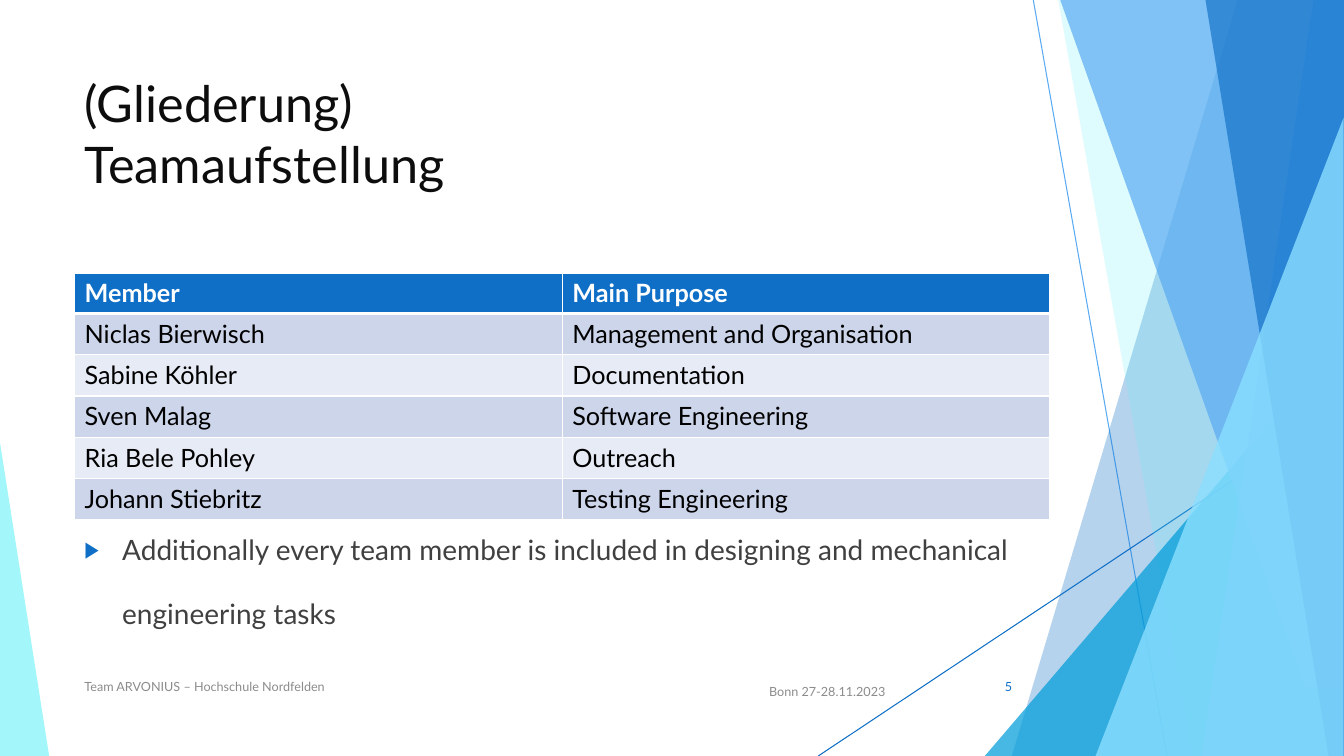
"""Builds a team overview slide with a member table on a faceted blue backdrop."""
import lxml.etree
import pptx
import pptx.dml.color
import pptx.enum.shapes
import pptx.enum.text
import pptx.oxml.ns
import pptx.util

Cm, Pt, qn = pptx.util.Cm, pptx.util.Pt, pptx.oxml.ns.qn
ANCHOR, ALIGN = pptx.enum.text.MSO_ANCHOR, pptx.enum.text.PP_ALIGN
WIDTH, HEIGHT = 33.87, 19.05
FONT, BLUE, WHITE, GREY = "Lato", "0F6FC6", "FFFFFF", "8C8C8C"

TEAM = [
    ("Member", "Main Purpose"),
    ("Niclas Bierwisch", "Management and Organisation"),
    ("Sabine Köhler", "Documentation"),
    ("Sven Malag", "Software Engineering"),
    ("Ria Bele Pohley", "Outreach"),
    ("Johann Stiebritz", "Testing Engineering"),
]
TABLE_LEFT, TABLE_TOP, COLUMN_WIDTH = 1.88, 6.88, 12.29
HEADER_HEIGHT, ROW_HEIGHT = 1.0, 1.04
BAND_FILLS = ("E7EBF5", "CCD5EA")

TITLE = "(Gliederung)\vTeamaufstellung"
REMARK = "Additionally every team member is included in designing and mechanical engineering tasks"
LABELS = [
    (TITLE, (1.88, 1.7, 23.88, 3.66), 36, "0D0D0D", ALIGN.LEFT, ANCHOR.TOP),
    ("Bonn 27-28.11.2023", (18.72, 17.04, 3.84, 0.76), 9, GREY, ALIGN.RIGHT, ANCHOR.MIDDLE),
    ("Team ARVONIUS – Hochschule Nordfelden", (1.88, 16.79, 17.5, 1.02), 9, GREY,
     ALIGN.LEFT, ANCHOR.MIDDLE),
    ("5", (23.85, 16.79, 1.91, 1.02), 9, BLUE, ALIGN.RIGHT, ANCHOR.MIDDLE),
]
REMARK_BOX = (1.88, 12.5, 25.4, 3.5)

RAYS = [((26.04, 0), (29.41, HEIGHT), "59AAF2"), ((WIDTH, 10.24), (20.62, HEIGHT), BLUE)]
BACK_FACETS = [
    (31.19, 25.5, HEIGHT, BLUE, 30),
    (26.67, 30.05, HEIGHT, "5EF0F7", 20),
]
FRONT_FACETS = [
    (26.72, 32.89, 17.3, "59AAF2", 70),
    (33.1, 30.28, HEIGHT, "59AAF2", 70),
    (30.38, 33.48, HEIGHT, BLUE, 65),
]
BACK_WEDGES = [(24.82, 8.46, 9.05, 1, "009DD9", 72)]
FRONT_WEDGES = [(0, 11.15, 1.24, 0, "94F5FA", 85), (27.61, 2.97, 6.25, 1, "8ADFFF", 80)]


def rgb(value):
    return pptx.dml.color.RGBColor.from_string(value)


def add_xml(parent, tag, **attributes):
    return lxml.etree.SubElement(parent, qn(tag), attributes)


def paint(shape, color, opacity):
    shape.shadow.inherit = False
    shape.line.fill.background()
    shape.fill.solid()
    shape.fill.fore_color.rgb = rgb(color)
    tint = shape.fill._xPr.find(qn("a:solidFill"))[0]
    add_xml(tint, "a:alpha", val=str(opacity * 1000))


def add_facet(slide, top_x, bottom_x, bottom, color, opacity):
    corners = [(WIDTH, 0), (WIDTH, bottom), (bottom_x, bottom)]
    outline = slide.shapes.build_freeform(Cm(top_x), 0)
    outline.add_line_segments([(Cm(x), Cm(y)) for x, y in corners], close=True)
    paint(outline.convert_to_shape(), color, opacity)


def add_wedge(slide, left, top, width, apex, color, opacity):
    wedge = slide.shapes.add_shape(
        pptx.enum.shapes.MSO_SHAPE.ISOSCELES_TRIANGLE,
        Cm(left), Cm(top), Cm(width), Cm(HEIGHT - top))
    wedge.adjustments[0] = apex
    paint(wedge, color, opacity)


def add_ray(slide, start, end, color):
    ray = slide.shapes.add_connector(
        pptx.enum.shapes.MSO_CONNECTOR.STRAIGHT, *map(Cm, start + end))
    ray.line.color.rgb = rgb(color)
    ray.line.width = Pt(0.75)
    add_xml(ray._element.spPr, "a:effectLst")


def style(paragraph, size, color, bold=False):
    for run in paragraph.runs:
        run.font.name, run.font.size, run.font.bold = FONT, Pt(size), bold
        run.font.color.rgb = rgb(color)


def add_label(slide, text, box, size, color, align, anchor):
    frame = slide.shapes.add_textbox(*map(Cm, box)).text_frame
    frame.word_wrap, frame.vertical_anchor = True, anchor
    frame.text = text
    paragraph = frame.paragraphs[0]
    paragraph.alignment = align
    style(paragraph, size, color)
    return paragraph


def add_remark(slide):
    remark = add_label(slide, REMARK, REMARK_BOX, 20, "404040", ALIGN.LEFT, ANCHOR.BOTTOM)
    remark.line_spacing = 1.9
    properties = remark._p.get_or_add_pPr()
    properties.set("marL", str(Cm(0.95)))
    properties.set("indent", str(Cm(-0.95)))
    add_xml(add_xml(properties, "a:buClr"), "a:srgbClr", val=BLUE)
    add_xml(properties, "a:buSzPct", val="80000")
    add_xml(properties, "a:buFont", typeface=FONT)
    add_xml(properties, "a:buChar", char="▶")


def add_borders(cell, top, bottom):
    properties = cell._tc.get_or_add_tcPr()
    sides = (("a:lnL", 1), ("a:lnR", 1), ("a:lnT", top), ("a:lnB", bottom))
    for place, (tag, width) in enumerate(sides):
        border = add_xml(properties, tag, w=str(Pt(width)))
        add_xml(add_xml(border, "a:solidFill"), "a:srgbClr", val=WHITE)
        properties.insert(place, border)


def add_team(slide):
    heights = [HEADER_HEIGHT] + [ROW_HEIGHT] * (len(TEAM) - 1)
    columns = len(TEAM[0])
    team = slide.shapes.add_table(
        len(TEAM), columns, Cm(TABLE_LEFT), Cm(TABLE_TOP),
        Cm(COLUMN_WIDTH * columns), Cm(sum(heights))).table
    for column in team.columns:
        column.width = Cm(COLUMN_WIDTH)
    for index, (entries, height) in enumerate(zip(TEAM, heights)):
        header = index == 0
        team.rows[index].height = Cm(height)
        for cell, entry in zip(team.rows[index].cells, entries):
            cell.text = entry
            style(cell.text_frame.paragraphs[0], 18, WHITE if header else "000000", header)
            cell.fill.solid()
            cell.fill.fore_color.rgb = rgb(BLUE if header else BAND_FILLS[index % 2])
            add_borders(cell, 3 if index == 1 else 1, 3 if header else 1)


def main():
    deck = pptx.Presentation()
    deck.slide_width, deck.slide_height = Cm(WIDTH), Cm(HEIGHT)
    slide = deck.slides.add_slide(deck.slide_layouts[6])
    for ray in RAYS:
        add_ray(slide, *ray)
    for facets, wedges in ((BACK_FACETS, BACK_WEDGES), (FRONT_FACETS, FRONT_WEDGES)):
        for facet in facets:
            add_facet(slide, *facet)
        for wedge in wedges:
            add_wedge(slide, *wedge)
    for label in LABELS:
        add_label(slide, *label)
    add_remark(slide)
    add_team(slide)
    deck.save("out.pptx")


if __name__ == "__main__":
    main()
